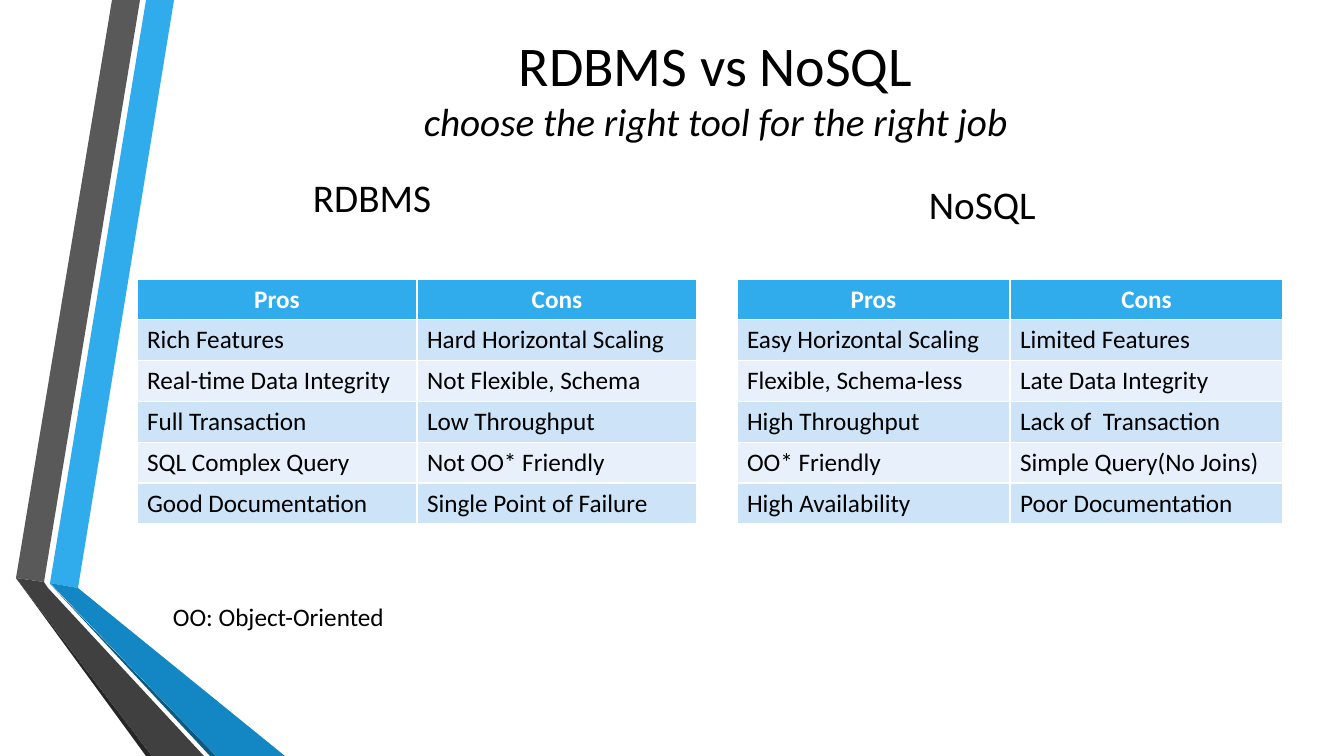
from lxml import etree
from pptx import Presentation
from pptx import util as u
from pptx.dml.color import RGBColor
from pptx.enum import text

PX = 914400 / 100.8
FONT = "Calibri"
BLACK, WHITE, BLUE = "000000", "FFFFFF", "30ACEC"
BANDS = ["CDE3F8", "E8F1FB"]
ROW_HEIGHT, TABLE_TOP = 41, 279

TITLE = [
    ("RDBMS vs NoSQL", {"size": u.Pt(40)}),
    ("choose the right tool for the right job", {"size": u.Pt(28), "italic": True}),
]
TITLE_BOX = (163, -9, 1105, 193)

# text, box, point size
LABELS = [
    ("RDBMS", (303, 168, 148, 58), 28),
    ("NoSQL", (919, 175, 141, 58), 28),
    ("OO: Object-Oriented", (163, 596, 247, 40), 18),
]

# left, column width, rows
TABLES = [
    (137, 280, [
        ("Pros", "Cons"),
        ("Rich Features", "Hard Horizontal Scaling"),
        ("Real-time Data Integrity", "Not Flexible, Schema"),
        ("Full Transaction", "Low Throughput"),
        ("SQL Complex Query", "Not OO* Friendly"),
        ("Good Documentation", "Single Point of Failure"),
    ]),
    (737, 273, [
        ("Pros", "Cons"),
        ("Easy Horizontal Scaling", "Limited Features"),
        ("Flexible, Schema-less", "Late Data Integrity"),
        ("High Throughput", "Lack of  Transaction"),
        ("OO* Friendly", "Simple Query(No Joins)"),
        ("High Availability", "Poor Documentation"),
    ]),
]

RIBBONS = [
    (BLUE, [(50, 583), (78, 588), (174, 0), (146, 0)]),
    ("595959", [(140, 0), (112, 0), (16, 578), (44, 582)]),
    ("262626", [(16, 578), (146, 756), (152, 756)]),
    ("0C5A82", [(50, 584), (210, 756), (216, 756)]),
    ("1287C3", [(50, 583), (216, 756), (285, 756), (78, 588)]),
    ("404040", [(204, 756), (48, 588), (44, 582), (16, 578), (152, 756)]),
]


def px(n):
    return round(n * PX)


def rgb(value):
    return RGBColor.from_string(value)


def place(sp, box):
    sp.left, sp.top, sp.width, sp.height = map(px, box)


def add_run(p, words, color=BLACK, **formats):
    r = p.add_run()
    r.text = words
    r.font.color.rgb = rgb(color)
    for name, value in {"name": FONT, **formats}.items():
        setattr(r.font, name, value)


def add_ribbon(s, color, points):
    builder = s.shapes.build_freeform(*map(px, points[0]))
    builder.add_line_segments([(px(x), px(y)) for x, y in points[1:]], close=True)
    sp = builder.convert_to_shape()
    sp.shadow.inherit = False
    sp.fill.solid()
    sp.fill.fore_color.rgb = rgb(color)
    sp.line.fill.background()


def add_title(s):
    sp = s.shapes.title
    place(sp, TITLE_BOX)
    tf = sp.text_frame
    tf.vertical_anchor = text.MSO_ANCHOR.MIDDLE
    p = tf.paragraphs[0]
    p.alignment = text.PP_ALIGN.CENTER
    for i, (words, formats) in enumerate(TITLE):
        if i:
            p.add_line_break()
        add_run(p, words, **formats)


def add_label(s, words, box, size):
    tf = s.shapes.add_textbox(*map(px, box)).text_frame
    tf.word_wrap = False
    tf.auto_size = text.MSO_AUTO_SIZE.SHAPE_TO_FIT_TEXT
    add_run(tf.paragraphs[0], words, size=u.Pt(size))


def add_comparison(s, left, col_width, rows):
    cols = len(rows[0])
    box = (left, TABLE_TOP, cols * col_width, len(rows) * ROW_HEIGHT)
    table = s.shapes.add_table(len(rows), cols, *map(px, box)).table
    for col in table.columns:
        col.width = px(col_width)
    for i, row in enumerate(rows):
        table.rows[i].height = u.Inches(0.405)
        header = i == 0
        for j, words in enumerate(row):
            cell = table.cell(i, j)
            cell.fill.solid()
            cell.fill.fore_color.rgb = rgb(BLUE if header else BANDS[(i - 1) % 2])
            p = cell.text_frame.paragraphs[0]
            p.alignment = text.PP_ALIGN.CENTER if header else text.PP_ALIGN.LEFT
            add_run(p, words, WHITE if header else BLACK, size=u.Pt(18), bold=header)


def main():
    prs = Presentation()
    prs.slide_width, prs.slide_height = px(1344), px(756)
    s = prs.slides.add_slide(prs.slide_layouts[5])
    for ribbon in RIBBONS:
        add_ribbon(s, *ribbon)
    add_title(s)
    for label in LABELS:
        add_label(s, *label)
    for comparison in TABLES:
        add_comparison(s, *comparison)
    prs.save("out.pptx")


if __name__ == "__main__":
    main()
